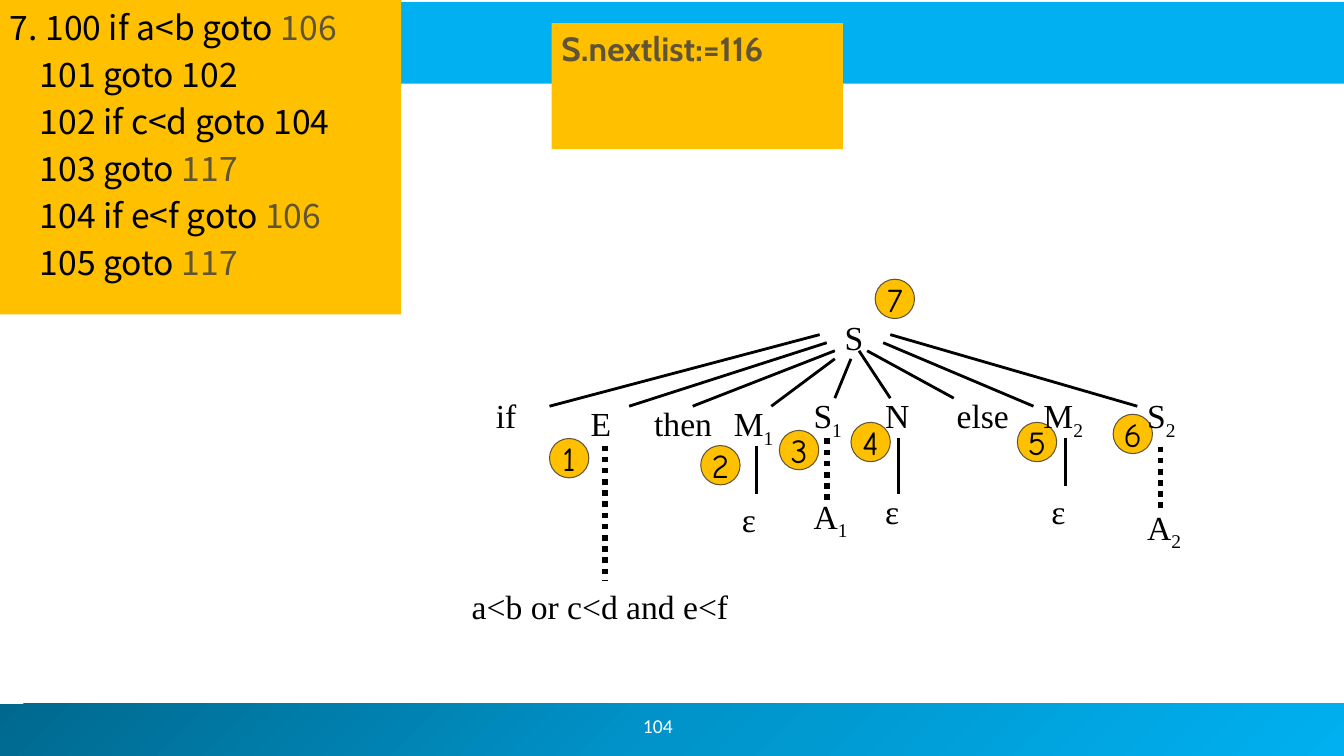
import copy
import pptx
import pptx.util
import pptx.dml.color
import pptx.enum.dml
import pptx.enum.shapes
import pptx.enum.text
import pptx.oxml.ns
from dataclasses import dataclass

Inches = pptx.util.Inches
Pt = pptx.util.Pt


@dataclass(frozen=True)
class Theme:
    black: str = "000000"
    white: str = "FFFFFF"
    blue: str = "00B0F0"
    amber: str = "FFC000"
    olive: str = "605435"
    footer_stops: tuple = ((0, "00688E"), (0.5, "0094CA"), (1, "00B0F0"))
    body_size: int = 24
    number_size: int = 14
    branch_width: float = 2
    dotted_width: float = 4
    outline_width: float = 0.75
    code_font: str = "Noto Sans CJK JP"
    list_font: str = "Cabin"
    tree_font: str = "Times New Roman"
    step_font: str = "Comic Neue"
    number_font: str = "Calibri"


THEME = Theme()
SLIDE_WIDTH, SLIDE_HEIGHT = 13.33, 7.5
LABEL_HEIGHT = 0.5
STEP_SIZE = 0.39

# Content: each code line is (statement, backpatched target)
CODE_LINES = [
    ("7. 100 if a<b goto ", "106"),
    ("    101 goto 102", ""),
    ("    102 if c<d goto 104", ""),
    ("    103 goto ", "117"),
    ("    104 if e<f goto ", "106"),
    ("    105 goto ", "117"),
]
NEXT_LIST = "S.nextlist:=116"
SLIDE_NUMBER = "104"

# Step circles: number, left, top
STEPS = [
    ("3", 7.73, 4.27), ("1", 5.45, 4.35), ("2", 6.95, 4.42), ("4", 8.44, 4.19),
    ("5", 10.09, 4.19), ("7", 8.68, 2.77), ("6", 11.04, 4.11),
]

# Tree labels: text, subscript, left, top, width
LABELS = [
    ("S", "", 8.28, 3.09, 0.66),
    ("if", "", 4.82, 3.87, 0.47),
    ("E", "", 5.76, 3.95, 0.87),
    ("then", "", 6.39, 3.95, 0.87),
    ("M", "1", 7.18, 3.95, 0.71),
    ("S", "1", 7.97, 3.87, 0.71),
    ("N", "", 8.68, 3.87, 0.62),
    ("else", "", 9.39, 3.87, 0.87),
    ("M", "2", 10.25, 3.87, 0.81),
    ("S", "2", 11.28, 3.87, 0.79),
    ("ε", "", 7.26, 4.9, 0.57),
    ("A", "1", 7.97, 4.87, 0.79),
    ("ε", "", 8.68, 4.82, 0.57),
    ("ε", "", 10.33, 4.82, 0.57),
    ("A", "2", 11.28, 4.98, 0.79),
    ("a<b or c<d and e<f", "", 4.58, 5.76, 2.99),
]

# Branches fan out from the root: start x, start y, end x, end y
BRANCHES = [
    (8.13, 3.32, 5.45, 4.03), (8.2, 3.4, 6.24, 4.03), (8.28, 3.48, 6.87, 4.03),
    (8.28, 3.56, 7.65, 4.03), (8.44, 3.56, 8.28, 3.95), (8.52, 3.48, 8.83, 3.95),
    (8.6, 3.48, 9.46, 3.95), (8.76, 3.4, 10.25, 4.03), (8.83, 3.32, 11.28, 4.03),
]
# Vertical stems: x, top, bottom
SOLID_STEMS = [(7.5, 4.42, 4.9), (8.91, 4.35, 4.9), (10.57, 4.35, 4.82)]
DOTTED_STEMS = [(6, 4.42, 5.76), (8.2, 4.35, 4.98), (11.51, 4.43, 5.05)]


def rgb(value):
    return pptx.dml.color.RGBColor.from_string(value)


def write_text(shape, paragraphs, font, size=THEME.body_size, color=THEME.black,
               bold=False, centered=False, middle=False, wrap=True,
               line_spacing=None, space_before=0):
    """Fill a shape with paragraphs, each a list of (text, color, is_subscript)."""
    frame = shape.text_frame
    frame.word_wrap = wrap
    anchors = pptx.enum.text.MSO_ANCHOR
    frame.vertical_anchor = anchors.MIDDLE if middle else anchors.TOP
    alignments = pptx.enum.text.PP_ALIGN
    for index, pieces in enumerate(paragraphs):
        paragraph = frame.add_paragraph() if index else frame.paragraphs[0]
        paragraph.alignment = alignments.CENTER if centered else alignments.LEFT
        if line_spacing:
            paragraph.line_spacing = Pt(line_spacing)
        if index:
            paragraph.space_before = Pt(space_before)
        for text, piece_color, is_subscript in pieces:
            run = paragraph.add_run()
            run.text = text
            run.font.name = font
            run.font.size = Pt(size)
            run.font.bold = bold
            run.font.color.rgb = rgb(piece_color or color)
            if is_subscript:
                run._r.get_or_add_rPr().set("baseline", "-25000")


def add_block(slide, left, top, width, height, fill, kind="RECTANGLE", outline=None):
    shape = slide.shapes.add_shape(
        getattr(pptx.enum.shapes.MSO_SHAPE, kind),
        Inches(left), Inches(top), Inches(width), Inches(height))
    shape.shadow.inherit = False
    shape.fill.solid()
    shape.fill.fore_color.rgb = rgb(fill)
    if outline:
        shape.line.color.rgb = rgb(outline)
        shape.line.width = Pt(THEME.outline_width)
    else:
        shape.line.fill.background()
    return shape


def add_box(slide, left, top, width):
    return slide.shapes.add_textbox(
        Inches(left), Inches(top), Inches(width), Inches(LABEL_HEIGHT))


def add_line(slide, start_x, start_y, end_x, end_y, dotted=False):
    line = slide.shapes.add_connector(
        pptx.enum.shapes.MSO_CONNECTOR.STRAIGHT,
        Inches(start_x), Inches(start_y), Inches(end_x), Inches(end_y))
    line.line.color.rgb = rgb(THEME.black)
    line.line.width = Pt(THEME.dotted_width if dotted else THEME.branch_width)
    if dotted:
        line.line.dash_style = pptx.enum.dml.MSO_LINE.ROUND_DOT
    line._element.spPr.append(pptx.oxml.parse_xml(
        f'<a:effectLst {pptx.oxml.ns.nsdecls("a")}/>'))


def apply_gradient(shape, stops):
    shape.fill.gradient()
    shape.fill.gradient_angle = 315
    stop_list = shape._element.spPr.find(".//" + pptx.oxml.ns.qn("a:gsLst"))
    while len(stop_list) < len(stops):
        stop_list.append(copy.deepcopy(stop_list[0]))
    for stop, (position, color) in zip(shape.fill.gradient_stops, stops):
        stop.position = position
        stop.color.rgb = rgb(color)


def main():
    presentation = pptx.Presentation()
    presentation.slide_width = Inches(SLIDE_WIDTH)
    presentation.slide_height = Inches(SLIDE_HEIGHT)
    slide = presentation.slides.add_slide(presentation.slide_layouts[6])

    # Header and footer bars with the slide number
    footer = add_block(slide, 0, 6.98, SLIDE_WIDTH, 0.52, THEME.blue)
    apply_gradient(footer, THEME.footer_stops)
    add_block(slide, 0, 0.02, SLIDE_WIDTH, 0.81, THEME.blue)
    write_text(add_box(slide, 5.08, 6.95, 2.89), [[(SLIDE_NUMBER, None, False)]],
               THEME.number_font, size=THEME.number_size, color=THEME.white,
               centered=True, middle=True)

    # Generated code and the remaining list
    code = add_block(slide, 0, 0, 3.98, 3.12, THEME.amber)
    code_paragraphs = [
        [(statement, None, False)] + ([(target, THEME.olive, False)] if target else [])
        for statement, target in CODE_LINES]
    write_text(code, code_paragraphs, THEME.code_font, line_spacing=30, space_before=3.6)
    next_list = add_block(slide, 5.47, 0.23, 2.89, 1.25, THEME.amber)
    write_text(next_list, [[(NEXT_LIST, None, False)]], THEME.list_font,
               color=THEME.olive, bold=True)

    # Numbered steps
    for number, left, top in STEPS:
        circle = add_block(slide, left, top, STEP_SIZE, STEP_SIZE, THEME.amber,
                           kind="OVAL", outline=THEME.olive)
        write_text(circle, [[(number, None, False)]], THEME.step_font,
                   centered=True, middle=True, wrap=False)

    # Parse tree
    for text, subscript, left, top, width in LABELS:
        pieces = [(text, None, False)] + ([(subscript, None, True)] if subscript else [])
        write_text(add_box(slide, left, top, width), [pieces], THEME.tree_font)
    for branch in BRANCHES:
        add_line(slide, *branch)
    for stems, dotted in ((SOLID_STEMS, False), (DOTTED_STEMS, True)):
        for x, top, bottom in stems:
            add_line(slide, x, top, x, bottom, dotted=dotted)

    presentation.save("out.pptx")


if __name__ == "__main__":
    main()
